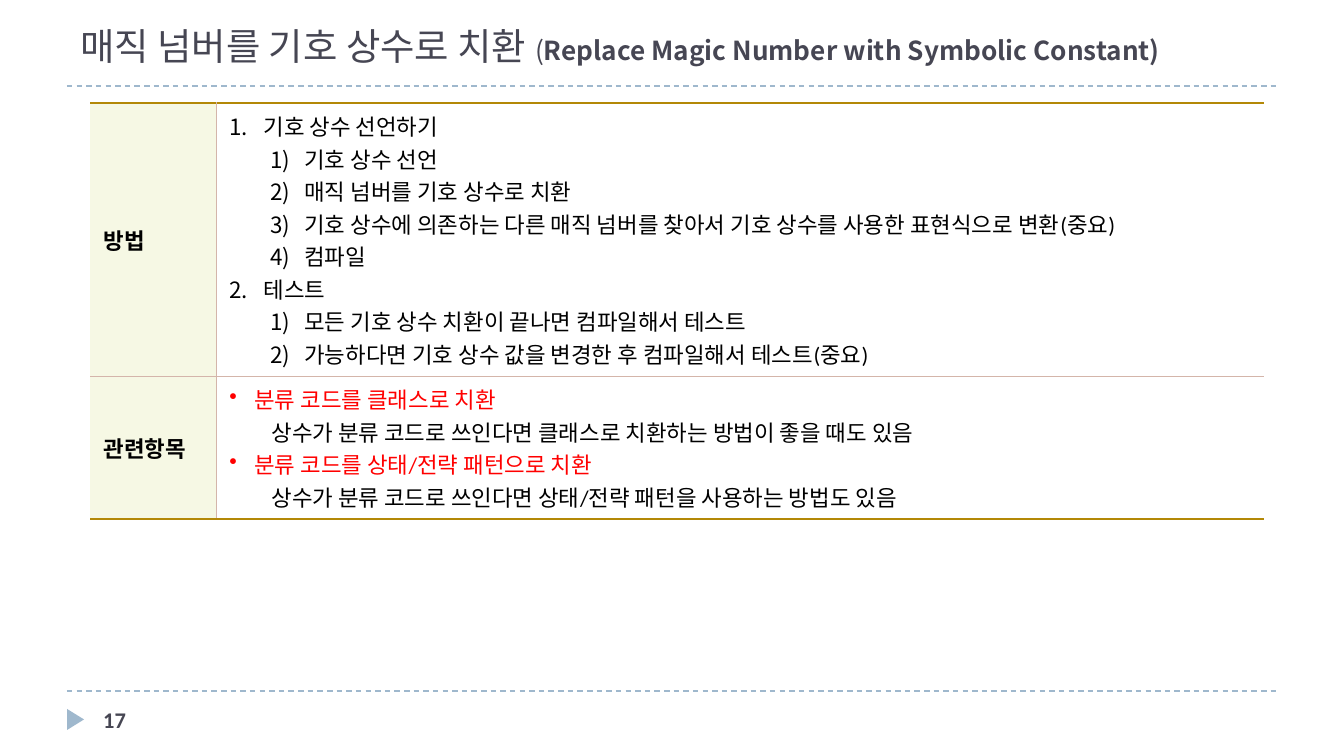
import pptx
import pptx.util
import pptx.dml.color
import pptx.enum.dml
import pptx.enum.shapes
import pptx.enum.text
import pptx.oxml.ns
import lxml.etree

PX = 914400 / 134.4
COLORS = {
    "title": "464653", "rule": "9FB8CD", "text": "000000", "accent": "FF0000",
    "label_fill": "F6F8E4", "outer": "B38807", "inner": "D4B5AA",
}
LATIN, KOREAN = "Calibri", "Noto Sans CJK KR"
ANCHOR = pptx.enum.text.MSO_ANCHOR

# Paragraph styles: level, left margin and indent in px, bullet tag, bullet attributes
STEP = (0, 34, -34, "buAutoNum", {"type": "arabicPeriod"})
SUBSTEP = (1, 75, -34, "buAutoNum", {"type": "arabicParenR"})
RELATED = (0, 25, -25, "buChar", {"char": "•"})
REMARK = (1, 42, 0, "buNone", {})
LABEL = (0, 0, 0, "buNone", {})

METHOD = [
    (STEP, "기호 상수 선언하기"),
    (SUBSTEP, "기호 상수 선언"),
    (SUBSTEP, "매직 넘버를 기호 상수로 치환"),
    (SUBSTEP, "기호 상수에 의존하는 다른 매직 넘버를 찾아서 기호 상수를 사용한 표현식으로 변환(중요)"),
    (SUBSTEP, "컴파일"),
    (STEP, "테스트"),
    (SUBSTEP, "모든 기호 상수 치환이 끝나면 컴파일해서 테스트"),
    (SUBSTEP, "가능하다면 기호 상수 값을 변경한 후 컴파일해서 테스트(중요)"),
]
RELATED_ITEMS = [
    (RELATED, "분류 코드를 클래스로 치환"),
    (REMARK, "상수가 분류 코드로 쓰인다면 클래스로 치환하는 방법이 좋을 때도 있음"),
    (RELATED, "분류 코드를 상태/전략 패턴으로 치환"),
    (REMARK, "상수가 분류 코드로 쓰인다면 상태/전략 패턴을 사용하는 방법도 있음"),
]
ROWS = [("방법", METHOD, 273), ("관련항목", RELATED_ITEMS, 143)]
COLUMNS = (126, 1048)


def px(*lengths):
    return [pptx.util.Emu(round(length * PX)) for length in lengths]


def rgb(name):
    return pptx.dml.color.RGBColor.from_string(COLORS[name])


def add_xml(parent, tag, **attributes):
    return lxml.etree.SubElement(parent, pptx.oxml.ns.qn("a:" + tag), attributes)


def add_run(paragraph, text, size, color, bold=False, latin=LATIN):
    run = paragraph.add_run()
    run.text = text
    formats = {"size": pptx.util.Pt(size), "bold": bold, "name": latin}
    for attribute, value in formats.items():
        setattr(run.font, attribute, value)
    run.font.color.rgb = rgb(color)
    add_xml(run.font._element, "ea", typeface=KOREAN)


def add_text(slide, box, runs, anchor):
    frame = slide.shapes.add_textbox(*px(*box)).text_frame
    for attribute, value in {"word_wrap": True, "vertical_anchor": anchor}.items():
        setattr(frame, attribute, value)
    for run in runs:
        add_run(frame.paragraphs[0], *run)


def add_rule(slide, y):
    rule = slide.shapes.add_connector(
        pptx.enum.shapes.MSO_CONNECTOR.STRAIGHT, *px(67, y, 1277, y))
    formats = {"width": pptx.util.Pt(0.75),
               "dash_style": pptx.enum.dml.MSO_LINE.DASH}
    for attribute, value in formats.items():
        setattr(rule.line, attribute, value)
    rule.line.color.rgb = rgb("rule")
    add_xml(rule._element.spPr, "effectLst")


def add_marker(slide):
    marker = slide.shapes.add_shape(
        pptx.enum.shapes.MSO_SHAPE.ISOSCELES_TRIANGLE, *px(65, 711, 21, 17))
    marker.rotation = 90
    marker.shadow.inherit = False
    marker.fill.solid()
    marker.fill.fore_color.rgb = rgb("rule")
    marker.line.fill.background()


def set_borders(cell, borders):
    properties = cell._tc.get_or_add_tcPr()
    for side in "LRTB":
        color = borders.get(side)
        width = pptx.util.Pt(1 if color == "outer" else 0.5)
        line = add_xml(properties, "ln" + side, w=str(width))
        if color:
            add_xml(add_xml(line, "solidFill"), "srgbClr", val=COLORS[color])
        else:
            add_xml(line, "noFill")


def fill_cell(cell, items, bold=False):
    cell.vertical_anchor = ANCHOR.MIDDLE
    frame = cell.text_frame
    for index, (style, text) in enumerate(items):
        paragraph = frame.add_paragraph() if index else frame.paragraphs[0]
        level, margin, indent, bullet, attributes = style
        paragraph.level = level
        properties = paragraph._p.get_or_add_pPr()
        for name, length in zip(("marL", "indent"), px(margin, indent)):
            properties.set(name, str(length))
        add_xml(properties, bullet, **attributes)
        add_run(paragraph, text, 12, "accent" if style is RELATED else "text", bold)


def add_refactoring_table(slide):
    heights = [height for _, _, height in ROWS]
    table = slide.shapes.add_table(
        len(ROWS), len(COLUMNS), *px(90, 103, sum(COLUMNS), sum(heights))).table
    for attribute in ("first_row", "horz_banding"):
        setattr(table, attribute, False)
    for column, width in zip(table.columns, px(*COLUMNS)):
        column.width = width
    for row, height in zip(table.rows, px(*heights)):
        row.height = height

    last = len(ROWS) - 1
    for index, (label, items, _) in enumerate(ROWS):
        edges = {"T": "inner" if index else "outer",
                 "B": "outer" if index == last else "inner"}
        label_cell, content_cell = table.cell(index, 0), table.cell(index, 1)
        fill_cell(label_cell, [(LABEL, label)], bold=True)
        fill_cell(content_cell, items)
        set_borders(label_cell, {**edges, "R": "inner"})
        set_borders(content_cell, {**edges, "L": "inner"})
        label_cell.fill.solid()
        label_cell.fill.fore_color.rgb = rgb("label_fill")
        content_cell.fill.background()


def main():
    deck = pptx.Presentation()
    deck.slide_width, deck.slide_height = px(1344, 756)
    slide = deck.slides.add_slide(deck.slide_layouts[6])

    # Rules and page marker
    for y in (691, 86):
        add_rule(slide, y)
    add_marker(slide)

    # Title and page number
    add_text(slide, (67, 15, 1210, 60), [
        ("매직 넘버를 기호 상수로 치환 ", 20, "title", False, KOREAN),
        ("(", 14, "title", False, KOREAN),
        ("Replace Magic Number with Symbolic Constant)", 14, "title", True, KOREAN),
    ], ANCHOR.BOTTOM)
    add_text(slide, (90, 700, 292, 40), [("17", 12, "title", True)], ANCHOR.TOP)

    # Method and related items
    add_refactoring_table(slide)
    deck.save("out.pptx")


if __name__ == "__main__":
    main()
